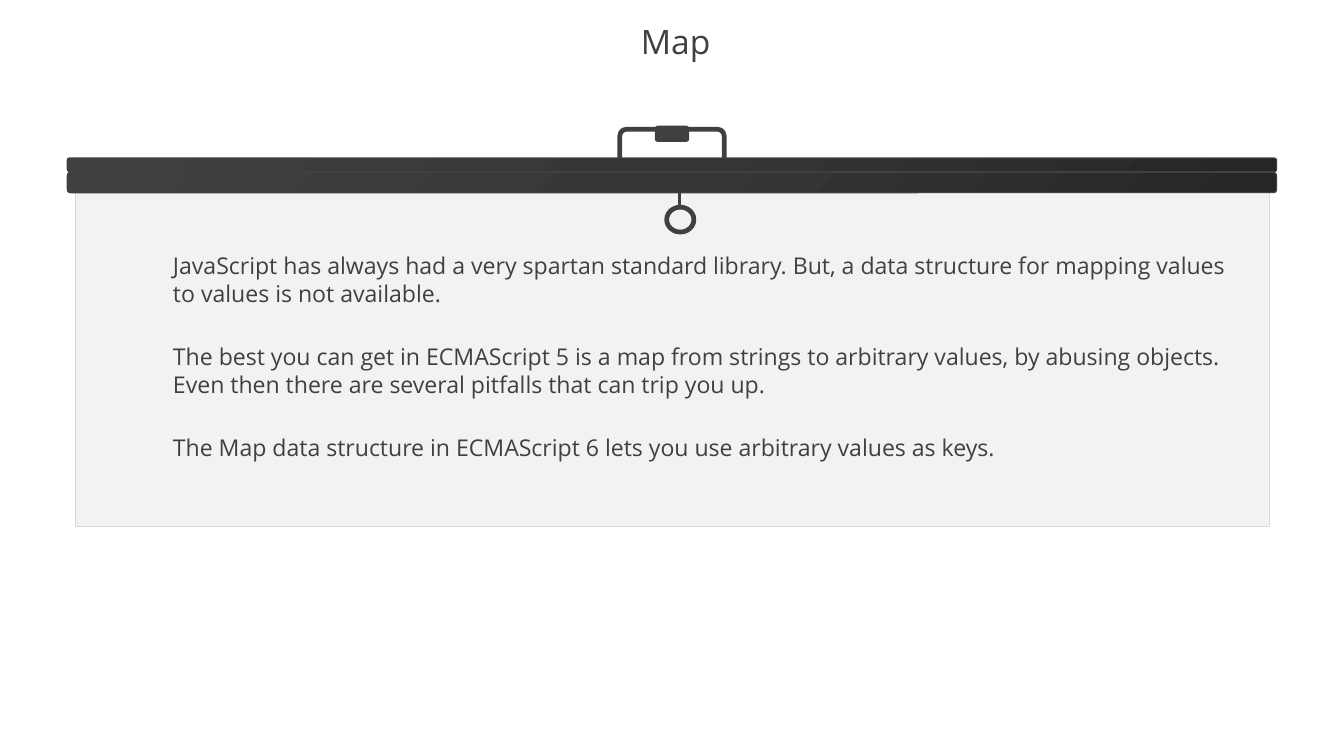
import copy
from dataclasses import dataclass

import pptx
import pptx.dml.color
import pptx.enum.shapes
import pptx.enum.text
import pptx.oxml.ns
import pptx.util
from lxml import etree
from pptx.util import Inches

SHAPES = pptx.enum.shapes.MSO_SHAPE
DARK = "404040"
BAR_GRADIENT = ("262626", "363636", DARK)
FONT = "Open Sans"


@dataclass
class Box:
    left: float
    top: float
    width: float
    height: float

    def lengths(self) -> tuple:
        return tuple(Inches(n) for n in (self.left, self.top, self.width, self.height))


@dataclass
class BodyText:
    top: float
    width: float
    height: float
    text: str


BODY_LEFT = 2.19
BODY_TEXTS = [
    BodyText(3.28, 14.3, 0.84, "JavaScript has always had a very spartan standard library. "
             "But, a data structure for mapping values to values is not available."),
    BodyText(4.48, 14.12, 0.84, "The best you can get in ECMAScript 5 is a map from strings to "
             "arbitrary values, by abusing objects. Even then there are several pitfalls "
             "that can trip you up."),
    BodyText(5.68, 14.3, 0.47, "The Map data structure in ECMAScript 6 lets you use "
             "arbitrary values as keys."),
]


def color(value: str) -> pptx.dml.color.RGBColor:
    return pptx.dml.color.RGBColor.from_string(value)


def add_figure(slide, kind, box: Box, fill: str | None, line: str, line_width: float):
    shape = slide.shapes.add_shape(kind, *box.lengths())
    shape.shadow.inherit = False
    if fill:
        shape.fill.solid()
        shape.fill.fore_color.rgb = color(fill)
    else:
        shape.fill.background()
    shape.line.color.rgb = color(line)
    shape.line.width = pptx.util.Pt(line_width)
    return shape


def add_bar(slide, box: Box) -> None:
    """Add a rounded bar that shades from light at the left to dark at the right."""
    shape = add_figure(slide, SHAPES.ROUNDED_RECTANGLE, box, None, DARK, 1)
    shape.fill.gradient()
    shape.fill.gradient_angle = 135
    stop_list = shape._element.spPr.find(".//" + pptx.oxml.ns.qn("a:gsLst"))
    stop_list.insert(1, copy.deepcopy(stop_list[0]))
    for index, (stop, value) in enumerate(zip(shape.fill.gradient_stops, BAR_GRADIENT)):
        stop.position = index / 2
        stop.color.rgb = color(value)


def add_cord(slide, x: float, top: float, bottom: float) -> None:
    cord = slide.shapes.add_connector(
        pptx.enum.shapes.MSO_CONNECTOR.STRAIGHT,
        Inches(x), Inches(top), Inches(x), Inches(bottom))
    cord.line.color.rgb = color(DARK)
    cord.line.width = pptx.util.Pt(3)
    etree.SubElement(cord._element.spPr, pptx.oxml.ns.qn("a:effectLst"))


def add_text(slide, box: Box, text: str, size: float):
    text_frame = slide.shapes.add_textbox(*box.lengths()).text_frame
    text_frame.word_wrap = True
    text_frame.text = text
    font = text_frame.paragraphs[0].runs[0].font
    font.name = FONT
    font.size = pptx.util.Pt(size)
    font.color.rgb = color(DARK)
    return text_frame


def add_title(slide, text: str) -> None:
    text_frame = add_text(slide, Box(0, 0.21, 17.78, 0.73), text, 32)
    text_frame.vertical_anchor = pptx.enum.text.MSO_ANCHOR.MIDDLE
    text_frame.margin_right = text_frame.margin_top = text_frame.margin_bottom = 0
    paragraph = text_frame.paragraphs[0]
    paragraph.alignment = pptx.enum.text.PP_ALIGN.CENTER
    paragraph.line_spacing = 0.9


def add_screen(slide) -> None:
    """Add the projection screen with its pull cord, bars and hanging handle."""
    add_figure(slide, SHAPES.RECTANGLE, Box(1, 2.21, 15.8, 4.76), "F2F2F2", "D9D9D9", 1)
    add_cord(slide, 8.99, 2.34, 2.75)
    add_figure(slide, SHAPES.OVAL, Box(8.82, 2.74, 0.36, 0.33), None, DARK, 4.5)
    add_bar(slide, Box(0.89, 2.28, 16, 0.27))
    add_figure(slide, SHAPES.ROUNDED_RECTANGLE, Box(8.2, 1.71, 1.38, 0.51), None, DARK, 4.5)
    add_figure(slide, SHAPES.ROUNDED_RECTANGLE, Box(8.67, 1.67, 0.44, 0.2), DARK, DARK, 1)
    add_bar(slide, Box(0.89, 2.09, 16, 0.18))


def main() -> None:
    presentation = pptx.Presentation()
    presentation.slide_width = Inches(17.78)
    presentation.slide_height = Inches(10)
    slide = presentation.slides.add_slide(presentation.slide_layouts[6])
    add_title(slide, "Map")
    add_screen(slide)
    for body in BODY_TEXTS:
        box = Box(BODY_LEFT, body.top, body.width, body.height)
        text_frame = add_text(slide, box, body.text, 22)
        text_frame.auto_size = pptx.enum.text.MSO_AUTO_SIZE.SHAPE_TO_FIT_TEXT
    presentation.save("out.pptx")


if __name__ == "__main__":
    main()
